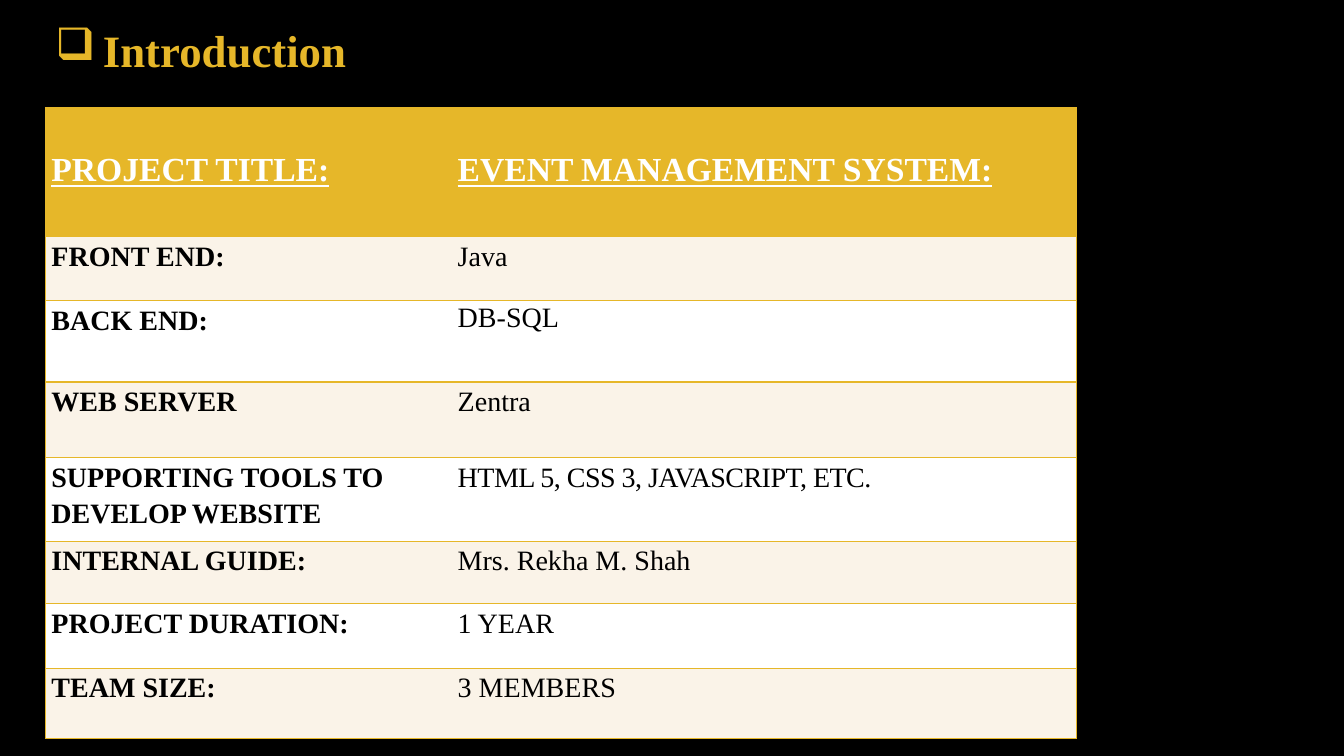
from lxml import etree
from pptx import Presentation
from pptx.dml.color import RGBColor
from pptx.enum.text import MSO_ANCHOR, PP_ALIGN
from pptx.oxml.ns import qn
from pptx.util import Inches, Pt

TOP, MIDDLE = MSO_ANCHOR.TOP, MSO_ANCHOR.MIDDLE
LEFT = PP_ALIGN.LEFT
FONT = "Times New Roman"
GOLD, CREAM, WHITE, BLACK = "E6B729", "FAF3E8", "FFFFFF", "000000"
COLS = [4.03, 6.2]
ROWS = [
    (1.28, "PROJECT TITLE:", "EVENT MANAGEMENT SYSTEM:"),
    (0.63, "FRONT END:", "Java"),
    (0.81, "BACK END:", "DB-SQL"),
    (0.75, "WEB SERVER", "Zentra"),
    (0.83, "SUPPORTING TOOLS TO DEVELOP WEBSITE",
     "HTML 5, CSS 3, JAVASCRIPT, ETC."),
    (0.62, "INTERNAL GUIDE:", "Mrs. Rekha M. Shah"),
    (0.64, "PROJECT DURATION:", "1 YEAR"),
    (0.7, "TEAM SIZE:", "3 MEMBERS"),
]


def paint(fill, color):
    fill.solid()
    fill.fore_color.rgb = RGBColor.from_string(color)


def style(para, size, color, bold):
    for run in para.runs:
        font = run.font
        font.name, font.size, font.bold = FONT, Pt(size), bold
        font.color.rgb = RGBColor.from_string(color)


def add_title(slide, text):
    title = slide.shapes.title
    title.left, title.top = Inches(0.45), Inches(0.08)
    title.width, title.height = Inches(10.86), Inches(0.82)
    frame = title.text_frame
    frame.text = text
    frame.vertical_anchor = MIDDLE
    para = frame.paragraphs[0]
    para.alignment = LEFT
    style(para, 32, GOLD, True)
    props = para._p.get_or_add_pPr()
    props.set("marL", str(Inches(0.47)))
    props.set("indent", str(-Inches(0.47)))
    etree.SubElement(props, qn("a:buChar")).set("char", "❑")


def add_edges(cell, inner):
    props = cell._tc.get_or_add_tcPr()
    for index, side in enumerate(["lnL", "lnR", "lnT", "lnB"]):
        line = etree.Element(qn("a:" + side), w=str(Pt(1)))
        if side == inner:
            etree.SubElement(line, qn("a:noFill"))
        else:
            fill = etree.SubElement(line, qn("a:solidFill"))
            etree.SubElement(fill, qn("a:srgbClr")).set("val", GOLD)
        props.insert(index, line)


def fill_cell(cell, text, row, col):
    head = row == 0
    cell.text_frame.text = text
    cell.margin_left = cell.margin_right = Inches(0.06)
    cell.margin_top = 0
    cell.margin_bottom = Inches(0.06 if head else 0)
    cell.vertical_anchor = MIDDLE if head else TOP
    para = cell.text_frame.paragraphs[0]
    para.alignment = LEFT
    para.line_spacing = 1.07 if head or (row, col) == (2, 1) else 1.15
    if head:
        style(para, 24, WHITE, True)
        para.runs[0].font.underline = True
    else:
        para.space_after = Pt(10)
        style(para, 20, BLACK, col == 0)
    if (row, col) == (4, 1):
        para.runs[0]._r.get_or_add_rPr().set("spc", "-40")
    paint(cell.fill, GOLD if head else CREAM if row % 2 else WHITE)
    add_edges(cell, "lnL" if col else "lnR")


def add_grid(slide):
    high = sum(row[0] for row in ROWS)
    table = slide.shapes.add_table(
        len(ROWS), len(COLS), Inches(0.45), Inches(1.07),
        Inches(sum(COLS)), Inches(high)).table
    table.horz_banding = False
    for col, width in enumerate(COLS):
        table.columns[col].width = Inches(width)
    for row, (height, *texts) in enumerate(ROWS):
        table.rows[row].height = Inches(height)
        for col, text in enumerate(texts):
            fill_cell(table.cell(row, col), text, row, col)


def main():
    deck = Presentation()
    deck.slide_width, deck.slide_height = Inches(13.33), Inches(7.5)
    slide = deck.slides.add_slide(deck.slide_layouts[5])
    paint(slide.background.fill, BLACK)
    add_title(slide, "Introduction")
    add_grid(slide)
    deck.save("out.pptx")


if __name__ == "__main__":
    main()
